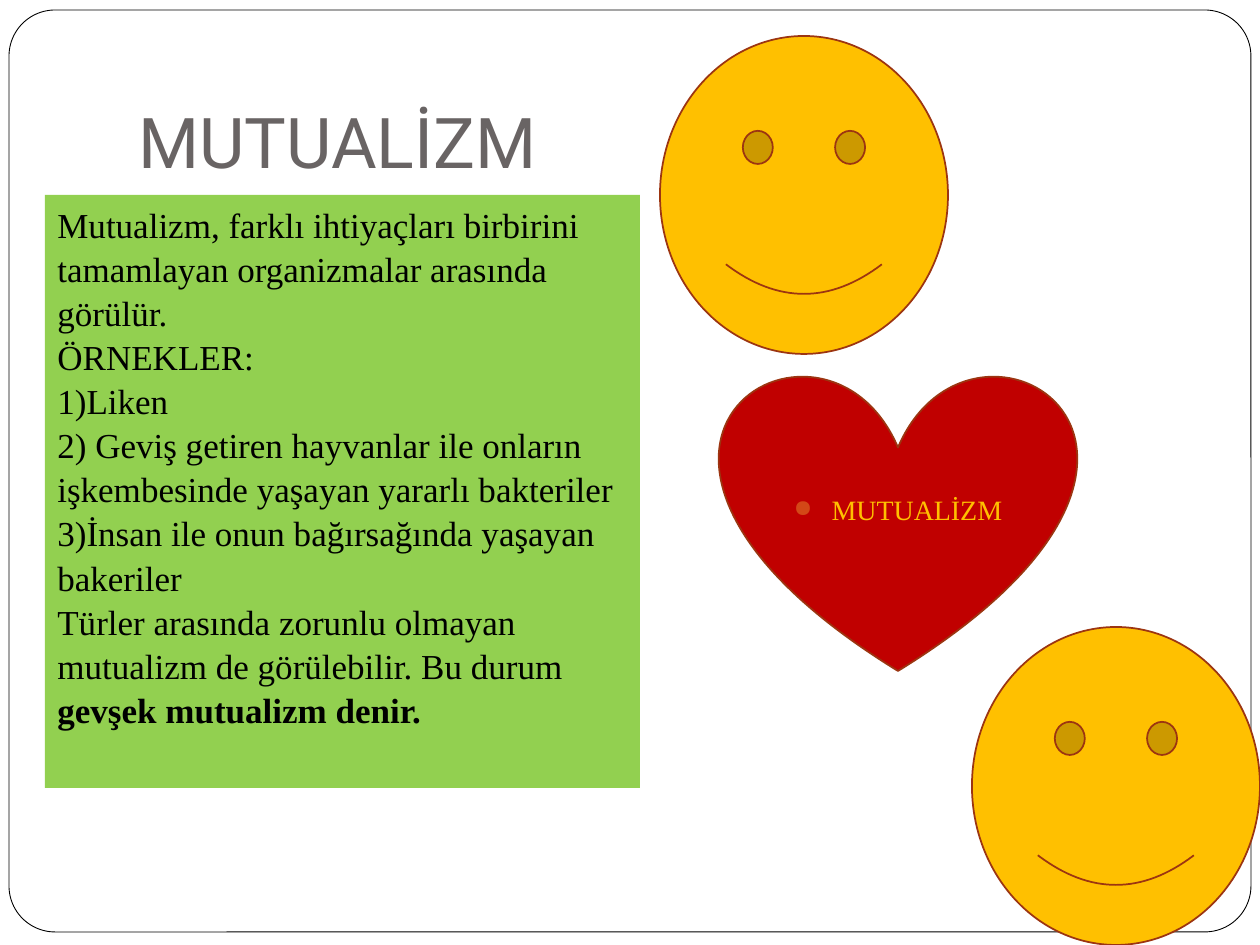
"""Build the mutualism slide with a definition box, a heart and two smiling faces."""
from dataclasses import dataclass

from lxml.etree import SubElement
from pptx import Presentation
from pptx.dml.color import RGBColor as Rgb
from pptx.enum.shapes import MSO_SHAPE as Shape
from pptx.enum.text import MSO_ANCHOR as Anchor, PP_ALIGN as Align
from pptx.oxml.ns import qn
from pptx.util import Emu, Pt


@dataclass(frozen=True)
class Theme:
    paper: str = "FFFFFF"
    ink: str = "000000"
    title: str = "696464"
    green: str = "92D050"
    red: str = "C00000"
    yellow: str = "FFC000"
    outline: str = "9C3511"
    bullet: str = "D34817"
    title_font: str = "Roboto"
    body_font: str = "Times New Roman"
    title_size: int = 40
    body_size: int = 20
    heart_size: int = 16


theme = Theme()
PX = 914400 / 126


def add_figure(kind, bounds, fill, line=None, weight=1):
    figure = page.shapes.add_shape(kind, *[Emu(round(n * PX)) for n in bounds])
    figure.shadow.inherit = False
    figure.fill.solid()
    figure.fill.fore_color.rgb = Rgb.from_string(fill)
    if line:
        figure.line.color.rgb = Rgb.from_string(line)
        figure.line.width = Pt(weight)
    else:
        figure.line.fill.background()
    return figure


def add_span(para, text, font, size, color, bold=False):
    span = para.add_run()
    span.text = text
    span.font.name = font
    span.font.size = Pt(size)
    span.font.bold = bold
    span.font.color.rgb = Rgb.from_string(color)


deck = Presentation()
deck.slide_width, deck.slide_height = Emu(round(1260 * PX)), Emu(round(945 * PX))
page = deck.slides.add_slide(deck.slide_layouts[5])

title = page.shapes.title
title.left, title.top, title.width, title.height = [
    Emu(round(n * PX)) for n in (126, 38, 1071, 158)
]
title.text_frame.vertical_anchor = Anchor.BOTTOM
title.text_frame.margin_bottom = Emu(round(13 * PX))
para = title.text_frame.paragraphs[0]
para.alignment = Align.LEFT
add_span(para, "MUTUALİZM", theme.title_font, theme.title_size, theme.title)

frame = add_figure(Shape.ROUNDED_RECTANGLE, (9, 10, 1242, 922), theme.paper, theme.ink, 0.5)
frame.adjustments[0] = 0.05
title.element.addprevious(frame.element)

heart = add_figure(Shape.HEART, (720, 373, 356, 298), theme.red, theme.outline)
heart.text_frame.vertical_anchor = Anchor.MIDDLE
para = heart.text_frame.paragraphs[0]
para.alignment = Align.CENTER
indent = round(38 * PX)
settings = para._p.get_or_add_pPr()
settings.set("marL", str(indent))
settings.set("indent", str(-indent))
SubElement(SubElement(settings, qn("a:buClr")), qn("a:srgbClr")).set("val", theme.bullet)
SubElement(settings, qn("a:buSzPct")).set("val", "85000")
SubElement(settings, qn("a:buChar")).set("char", "●")
add_span(para, "MUTUALİZM", theme.body_font, theme.heart_size, theme.yellow)

for left, top in ((660, 36), (972, 627)):
    add_figure(Shape.SMILEY_FACE, (left, top, 288, 318), theme.yellow, theme.outline)

definition = [
    [("Mutualizm, farklı ihtiyaçları birbirini tamamlayan organizmalar arasında görülür.", False)],
    [("ÖRNEKLER:", False)],
    [("1)Liken", False)],
    [("2) Geviş getiren hayvanlar ile onların işkembesinde yaşayan yararlı bakteriler", False)],
    [("3)İnsan ile onun bağırsağında yaşayan bakeriler", False)],
    [
        ("Türler arasında zorunlu olmayan mutualizm de görülebilir. Bu durum ", False),
        ("gevşek mutualizm denir.", True),
    ],
]
box = add_figure(Shape.RECTANGLE, (45, 195, 595, 593), theme.green)
body = box.text_frame
body.word_wrap = True
body.vertical_anchor = Anchor.TOP
for index, spans in enumerate(definition):
    para = body.add_paragraph() if index else body.paragraphs[0]
    para.alignment = Align.LEFT
    para.line_spacing = 1.05
    for text, bold in spans:
        add_span(para, text, theme.body_font, theme.body_size, theme.ink, bold)

deck.save("out.pptx")
